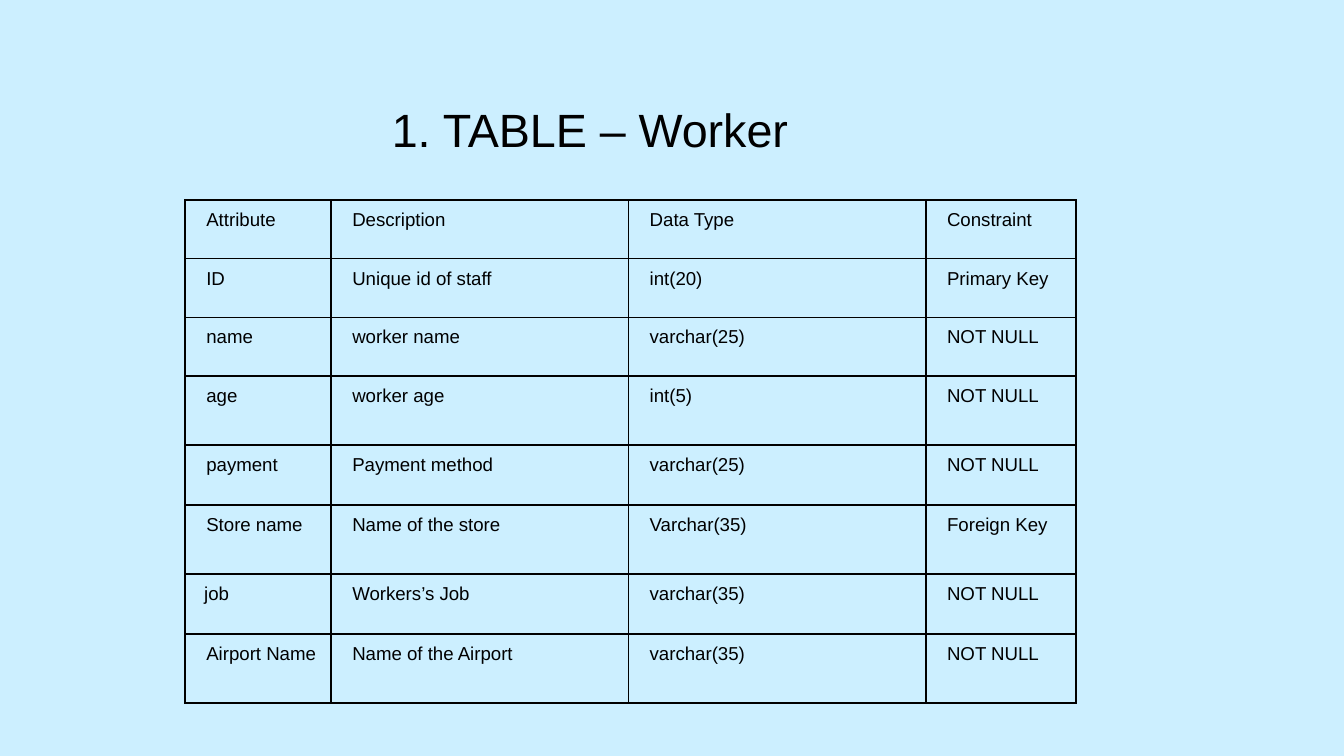
"""Builds a slide with the attribute table of the Worker entity."""
from lxml import etree
from pptx import Presentation
from pptx import util as u
from pptx.dml.color import RGBColor
from pptx.enum import text
from pptx.oxml.ns import qn

TITLE = "1. TABLE – Worker"
ROWS = [
    ("Attribute", "Description", "Data Type", "Constraint"),
    ("ID", "Unique id of staff", "int(20)", "Primary Key"),
    ("name", "worker name", "varchar(25)", "NOT NULL"),
    ("age", "worker age", "int(5)", "NOT NULL"),
    ("payment", "Payment method", "varchar(25)", "NOT NULL"),
    ("Store name", "Name of the store", "Varchar(35)", "Foreign Key"),
    ("job", "Workers’s Job", "varchar(35)", "NOT NULL"),
    ("Airport Name", "Name of the Airport", "varchar(35)", "NOT NULL"),
]
COLUMN_WIDTHS = [2.76, 5.62, 5.62, 2.84]
ROW_HEIGHTS = [1.11, 1.11, 1.11, 1.3, 1.14, 1.3, 1.14, 1.3]
CELL_MARGIN = u.Cm(0.18)
TITLE_MARGIN = u.Cm(0.25)
INDENT = u.Cm(0.22)
INDENTS = {"job": u.Cm(0.18)}
FONT = "Arial"
BLACK = RGBColor(0x00, 0x00, 0x00)
SKY = RGBColor(0xCC, 0xEF, 0xFF)


def set_margins(target, size):
    target.margin_left = target.margin_right = size
    target.margin_top = target.margin_bottom = size


def write(para, words, size):
    para.text = words
    for span in para.runs:
        span.font.name = FONT
        span.font.size = u.Pt(size)
        span.font.bold = False
        span.font.color.rgb = BLACK


def add_borders(cell):
    properties = cell._tc.get_or_add_tcPr()
    for index, side in enumerate(("lnL", "lnR", "lnT", "lnB")):
        line = etree.Element(qn(f"a:{side}"), w=str(u.Pt(1)))
        fill = etree.SubElement(line, qn("a:solidFill"))
        etree.SubElement(fill, qn("a:srgbClr"), val=str(BLACK))
        properties.insert(index, line)


def fill_cell(cell, words):
    set_margins(cell, CELL_MARGIN)
    para = cell.text_frame.paragraphs[0]
    write(para, words, 10)
    para._p.get_or_add_pPr().set("marL", str(INDENTS.get(words, INDENT)))
    cell.fill.background()
    add_borders(cell)


deck = Presentation()
deck.slide_width, deck.slide_height = u.Cm(25.4), u.Cm(14.29)
page = deck.slides.add_slide(deck.slide_layouts[5])
page.background.fill.solid()
page.background.fill.fore_color.rgb = SKY

title = page.shapes.title
title.left, title.top = u.Cm(0.84), u.Cm(0.66)
title.width, title.height = u.Cm(20.62), u.Cm(3.56)
frame = title.text_frame
frame.word_wrap = True
frame.auto_size = text.MSO_AUTO_SIZE.NONE
frame.vertical_anchor = text.MSO_ANCHOR.MIDDLE
set_margins(frame, TITLE_MARGIN)
heading = frame.paragraphs[0]
write(heading, TITLE, 25)
heading.alignment = text.PP_ALIGN.CENTER
heading.space_before = u.Pt(12.1)

table = page.shapes.add_table(
    len(ROWS), len(COLUMN_WIDTHS), u.Cm(3.5), u.Cm(3.78),
    u.Cm(sum(COLUMN_WIDTHS)), u.Cm(sum(ROW_HEIGHTS))).table
table.first_row = table.horz_banding = False
for column, width in zip(table.columns, COLUMN_WIDTHS):
    column.width = u.Cm(width)
for row, height, entries in zip(table.rows, ROW_HEIGHTS, ROWS):
    row.height = u.Cm(height)
    for cell, words in zip(row.cells, entries):
        fill_cell(cell, words)

deck.save("out.pptx")
